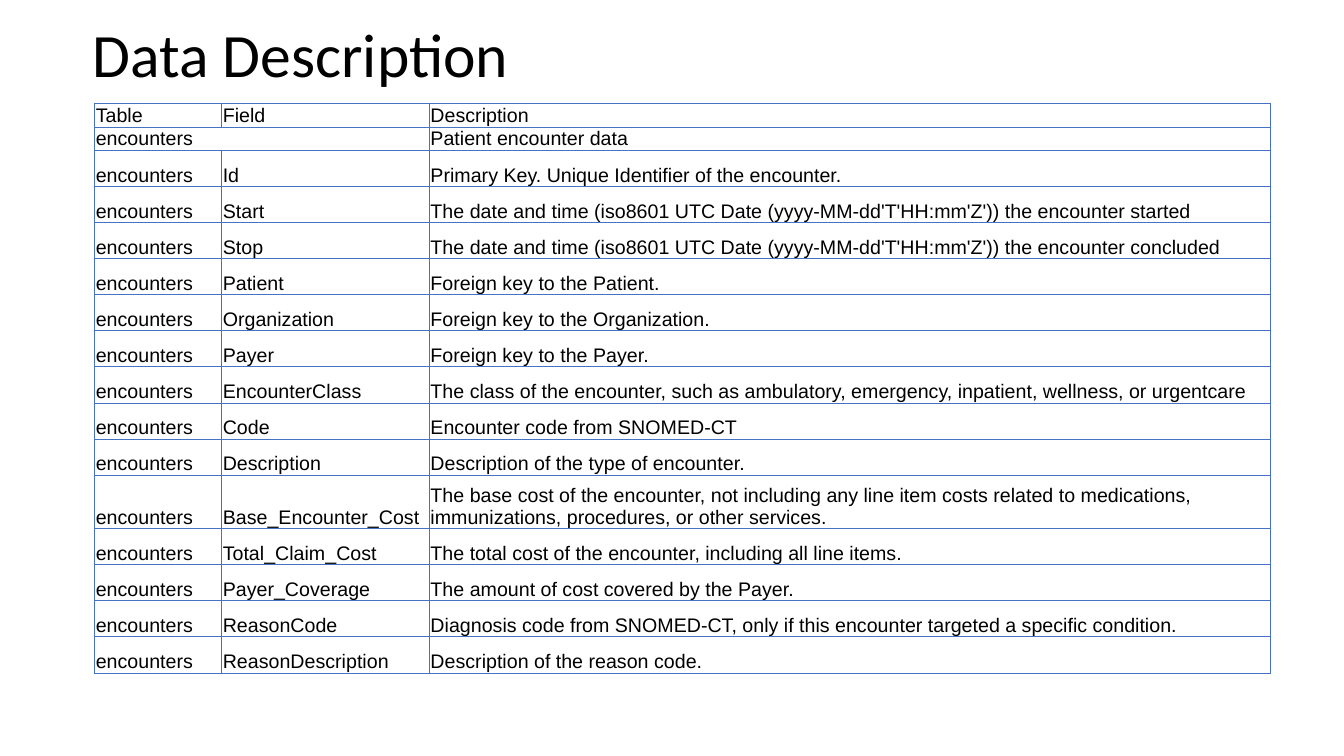
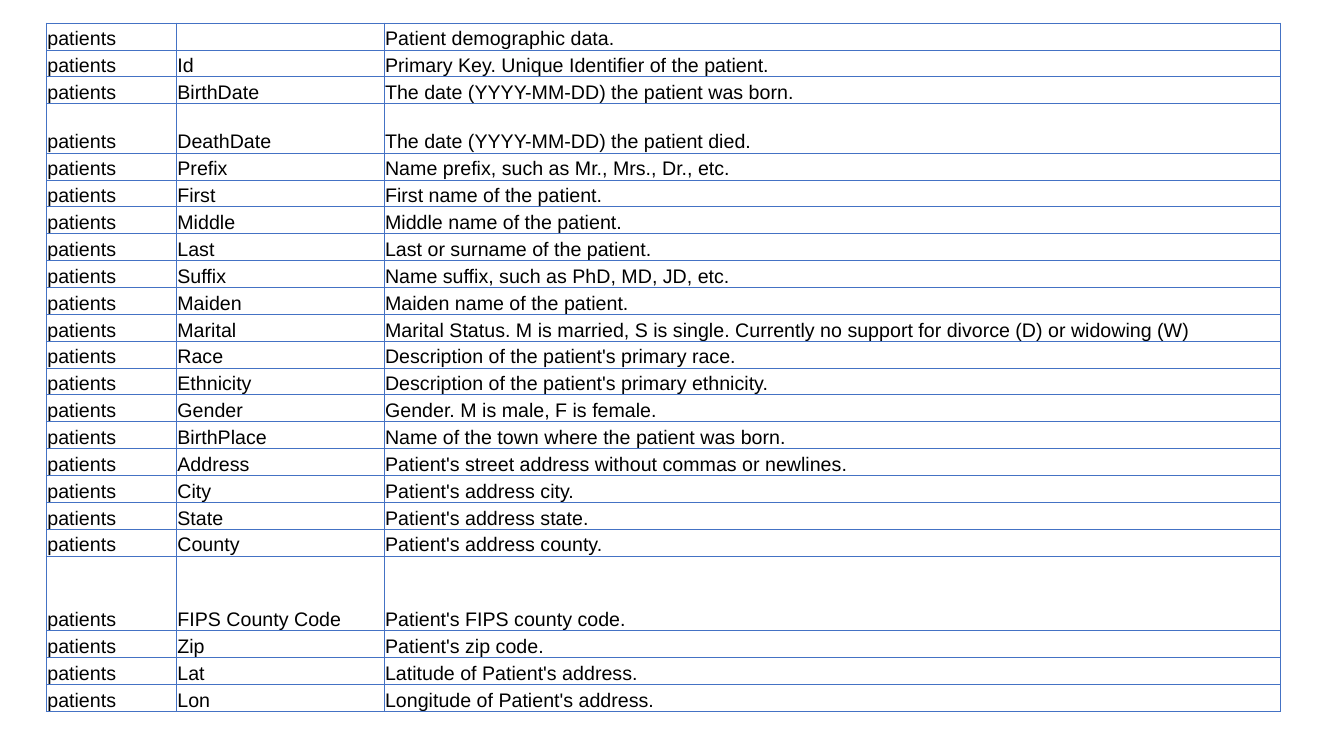
from lxml import etree
from pptx import Presentation
from pptx.dml.color import RGBColor
from pptx.enum.text import MSO_ANCHOR, PP_ALIGN
from pptx.oxml.ns import qn
from pptx.util import Inches, Pt

LEFT = PP_ALIGN.LEFT
MIDDLE = MSO_ANCHOR.MIDDLE
BOTTOM = MSO_ANCHOR.BOTTOM
TITLE_ONLY, BLANK = 5, 6
COLORS = {"text": "000000", "border": "4472C4"}
TITLE_FONT, TABLE_FONT = "Calibri", "Arial"
TABLE_SIZE = Pt(14)
BORDER_WIDTH = Pt(0.75)


def add_run(paragraph, text, font_name, size):
    run = paragraph.add_run()
    run.text = text
    run.font.name = font_name
    run.font.size = size
    run.font.color.rgb = RGBColor.from_string(COLORS["text"])


def add_field_table(slide, left, top, height, widths, rows, fixed_heights):
    shape = slide.shapes.add_table(
        len(rows), len(widths), Inches(left), Inches(top), Inches(sum(widths)), Inches(height)
    )
    table = shape.table
    table.first_row = False
    table.horz_banding = False
    for column, width in zip(table.columns, widths):
        column.width = Inches(width)
    regular_height = (height - sum(fixed_heights.values())) / (len(rows) - len(fixed_heights))
    for row_index, texts in enumerate(rows):
        table.rows[row_index].height = Inches(fixed_heights.get(row_index, regular_height))
        for column_index, text in enumerate(texts):
            cell = table.cell(row_index, column_index)
            cell.margin_left = cell.margin_right = cell.margin_top = Inches(0.01)
            cell.margin_bottom = 0
            cell.vertical_anchor = BOTTOM
            paragraph = cell.text_frame.paragraphs[0]
            if text:
                add_run(paragraph, text, TABLE_FONT, TABLE_SIZE)
            else:
                end = etree.SubElement(paragraph._p, qn("a:endParaRPr"))
                end.set("sz", str(int(TABLE_SIZE.pt * 100)))
            properties = cell._tc.get_or_add_tcPr()
            for side in ("a:lnL", "a:lnR", "a:lnT", "a:lnB"):
                line = etree.SubElement(properties, qn(side), w=str(BORDER_WIDTH))
                fill = etree.SubElement(line, qn("a:solidFill"))
                etree.SubElement(fill, qn("a:srgbClr"), val=COLORS["border"])
            cell.fill.background()
    return table


encounter_fields = [
    ("Id", "Primary Key. Unique Identifier of the encounter."),
    ("Start", "The date and time (iso8601 UTC Date (yyyy-MM-dd'T'HH:mm'Z')) the encounter started"),
    ("Stop", "The date and time (iso8601 UTC Date (yyyy-MM-dd'T'HH:mm'Z')) the encounter concluded"),
    ("Patient", "Foreign key to the Patient."),
    ("Organization", "Foreign key to the Organization."),
    ("Payer", "Foreign key to the Payer."),
    ("EncounterClass", "The class of the encounter, such as ambulatory, emergency, inpatient, wellness, or urgentcare"),
    ("Code", "Encounter code from SNOMED-CT"),
    ("Description", "Description of the type of encounter."),
    ("Base_Encounter_Cost", "The base cost of the encounter, not including any line item costs related to medications, immunizations, procedures, or other services."),
    ("Total_Claim_Cost", "The total cost of the encounter, including all line items."),
    ("Payer_Coverage", "The amount of cost covered by the Payer."),
    ("ReasonCode", "Diagnosis code from SNOMED-CT, only if this encounter targeted a specific condition."),
    ("ReasonDescription", "Description of the reason code."),
]
patient_fields = [
    ("", "Patient demographic data."),
    ("Id", "Primary Key. Unique Identifier of the patient."),
    ("BirthDate", "The date (YYYY-MM-DD) the patient was born."),
    ("DeathDate", "The date (YYYY-MM-DD) the patient died."),
    ("Prefix", "Name prefix, such as Mr., Mrs., Dr., etc."),
    ("First", "First name of the patient."),
    ("Middle", "Middle name of the patient."),
    ("Last", "Last or surname of the patient."),
    ("Suffix", "Name suffix, such as PhD, MD, JD, etc."),
    ("Maiden", "Maiden name of the patient."),
    ("Marital", "Marital Status. M is married, S is single. Currently no support for divorce (D) or widowing (W)"),
    ("Race", "Description of the patient's primary race."),
    ("Ethnicity", "Description of the patient's primary ethnicity."),
    ("Gender", "Gender. M is male, F is female."),
    ("BirthPlace", "Name of the town where the patient was born."),
    ("Address", "Patient's street address without commas or newlines."),
    ("City", "Patient's address city."),
    ("State", "Patient's address state."),
    ("County", "Patient's address county."),
    ("FIPS County Code", "Patient's FIPS county code."),
    ("Zip", "Patient's zip code."),
    ("Lat", "Latitude of Patient's address."),
    ("Lon", "Longitude of Patient's address."),
]

presentation = Presentation()
presentation.slide_width = Inches(13.33)
presentation.slide_height = Inches(7.5)

slide = presentation.slides.add_slide(presentation.slide_layouts[TITLE_ONLY])
title = slide.shapes.title
title.left, title.top = Inches(0.82), Inches(0.17)
title.width, title.height = Inches(11.5), Inches(0.81)
title.text_frame.vertical_anchor = MIDDLE
paragraph = title.text_frame.paragraphs[0]
paragraph.alignment = LEFT
paragraph.line_spacing = 0.9
add_run(paragraph, "Data Description", TITLE_FONT, Pt(44))

encounter_rows = [
    ("Table", "Field", "Description"),
    ("encounters", "", "Patient encounter data"),
]
encounter_rows += [("encounters", *field) for field in encounter_fields]
encounter_table = add_field_table(
    slide, 0.94, 1.03, 5.65, [1.26, 2.06, 8.34], encounter_rows, {0: 0.23, 1: 0.23, 11: 0.53}
)
encounter_table.cell(1, 0).merge(encounter_table.cell(1, 1))

slide = presentation.slides.add_slide(presentation.slide_layouts[BLANK])
patient_rows = [("patients", *field) for field in patient_fields]
add_field_table(
    slide, 0.46, 0.23, 6.83, [1.29, 2.06, 8.89], patient_rows, {3: 0.49, 19: 0.74}
)

presentation.save("out.pptx")
